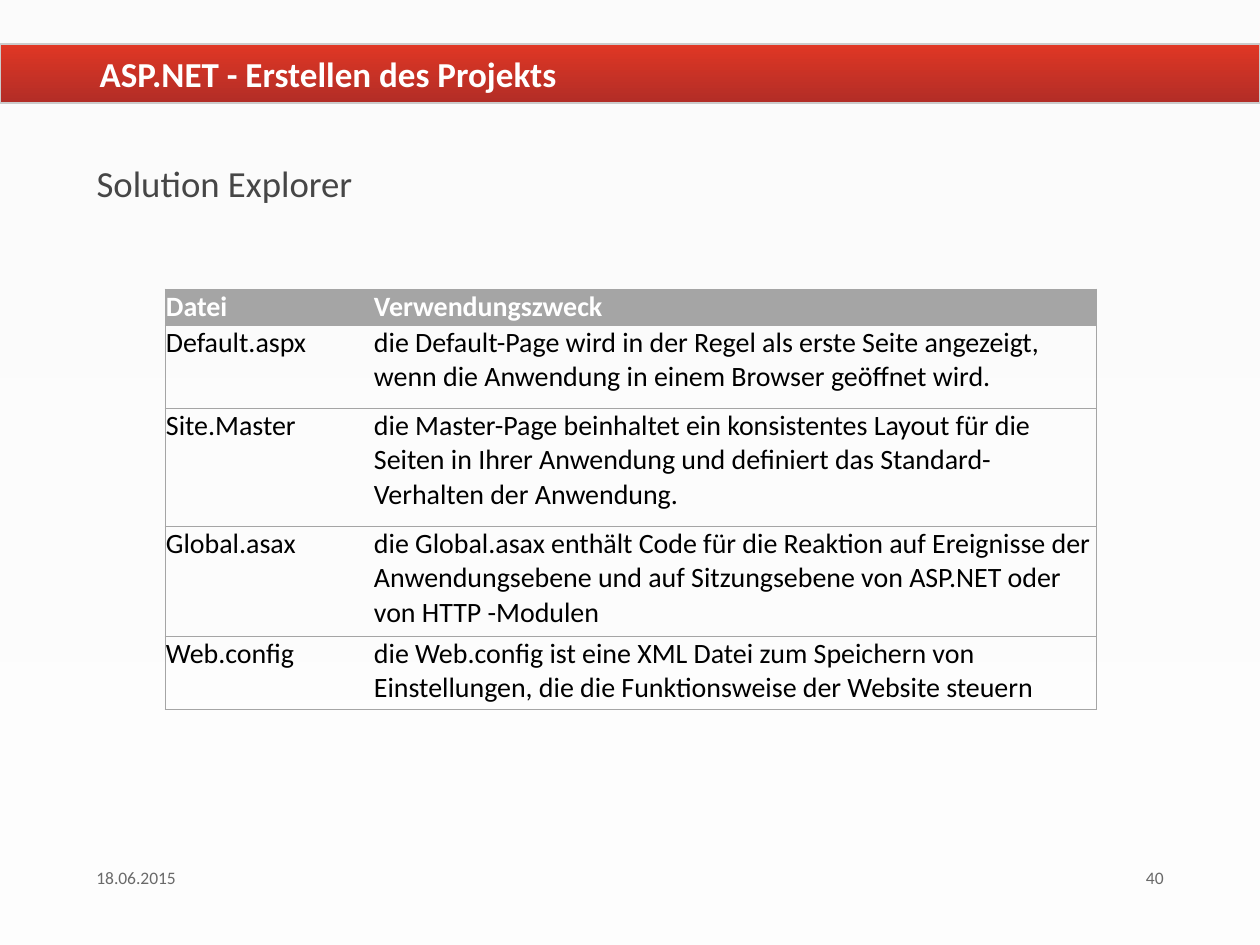
from copy import deepcopy
from dataclasses import dataclass

from lxml import etree
from pptx import Presentation
from pptx import util as u
from pptx.dml.color import RGBColor
from pptx.enum import shapes, text
from pptx.oxml import ns

PX = 914400 / 126


@dataclass(frozen=True)
class Theme:
    font: str = "Calibri"
    background: tuple = ((0, "FBFBFB"), (0.4, "FCFCFC"), (0.7, "FDFDFD"), (1, "FCFCFC"))
    bar: tuple = ((0, "E03725"), (1, "B22D26"))
    bar_line: str = "CBCBCB"
    white: str = "FFFFFF"
    black: str = "000000"
    heading: str = "464646"
    footer: str = "696969"
    grid: str = "A5A5A5"
    title_size: int = 20
    body_size: int = 21
    table_size: int = 16
    footer_size: int = 10
    plain_table: str = "{2D5ABB26-0587-4C30-8999-92F81FD0307C}"


def px(value):
    return u.Emu(round(value * PX))


class SlideBuilder:
    def __init__(self, presentation, theme):
        self.theme = theme
        self.slide = presentation.slides.add_slide(presentation.slide_layouts[1])

    def place(self, shape, box):
        shape.left, shape.top, shape.width, shape.height = map(px, box)

    def style(self, frame, size, color, bold=False):
        for paragraph in frame.paragraphs:
            for run in paragraph.runs:
                run.font.name = self.theme.font
                run.font.size = u.Pt(size)
                run.font.bold = bold
                run.font.color.rgb = RGBColor.from_string(color)

    def gradient(self, fill, element, stops):
        fill.gradient()
        fill.gradient_angle = 270
        stop_list = element.xpath(".//p:bg//a:gsLst | ./p:spPr//a:gsLst")[0]
        for _ in stops[2:]:
            stop_list.append(deepcopy(stop_list[0]))
        for stop, (position, color) in zip(fill.gradient_stops, stops):
            stop.position = position
            stop.color.rgb = RGBColor.from_string(color)

    def background(self):
        self.gradient(self.slide.background.fill, self.slide.element, self.theme.background)

    def bar(self, box):
        shape = self.slide.shapes.add_shape(shapes.MSO_SHAPE.RECTANGLE, *map(px, box))
        shape.shadow.inherit = False
        self.gradient(shape.fill, shape.element, self.theme.bar)
        shape.line.color.rgb = RGBColor.from_string(self.theme.bar_line)
        shape.line.width = u.Pt(0.75)
        shape.element.getparent().insert(2, shape.element)

    def title(self, wording, box):
        shape = self.slide.shapes.title
        self.place(shape, box)
        frame = shape.text_frame
        frame.text = wording
        frame.vertical_anchor = text.MSO_ANCHOR.MIDDLE
        frame.paragraphs[0].alignment = text.PP_ALIGN.LEFT
        self.style(frame, self.theme.title_size, self.theme.white, True)

    def body(self, wording, box):
        shape = self.slide.placeholders[1]
        self.place(shape, box)
        frame = shape.text_frame
        frame.text = wording
        paragraph = frame.paragraphs[0]
        paragraph.line_spacing = u.Pt(24)
        paragraph.space_before = u.Pt(16)
        properties = paragraph._p.get_or_add_pPr()
        properties.set("marL", "0")
        properties.set("indent", "0")
        etree.SubElement(properties, ns.qn("a:buNone"))
        self.style(frame, self.theme.body_size, self.theme.heading)

    def footer(self, wording, box, alignment):
        frame = self.slide.shapes.add_textbox(*map(px, box)).text_frame
        frame.word_wrap = True
        frame.text = wording
        frame.paragraphs[0].alignment = alignment
        self.style(frame, self.theme.footer_size, self.theme.footer)

    def borders(self, cell, sides):
        properties = cell._tc.get_or_add_tcPr()
        for side in sides:
            line = etree.SubElement(properties, ns.qn(f"a:ln{side}"), w=str(u.Pt(0.5)))
            fill = etree.SubElement(line, ns.qn("a:solidFill"))
            etree.SubElement(fill, ns.qn("a:srgbClr"), val=self.theme.grid)

    def table(self, rows, left, top, widths, heights):
        box = (left, top, sum(widths), sum(heights))
        frame = self.slide.shapes.add_table(len(rows), len(widths), *map(px, box))
        table = frame.table
        table.horz_banding = False
        table._tbl.tblPr.find(ns.qn("a:tableStyleId")).text = self.theme.plain_table
        for column, width in zip(table.columns, widths):
            column.width = px(width)
        for row, height in zip(table.rows, heights):
            row.height = px(height)
        for row_index, row in enumerate(rows):
            header = row_index == 0
            for column_index, wording in enumerate(row):
                cell = table.cell(row_index, column_index)
                cell.text = wording
                cell.margin_left = cell.margin_right = cell.margin_top = px(1)
                cell.margin_bottom = 0
                self.borders(cell, "RTB" if column_index else "LTB")
                if header:
                    cell.fill.solid()
                    cell.fill.fore_color.rgb = RGBColor.from_string(self.theme.grid)
                else:
                    cell.fill.background()
                color = self.theme.white if header else self.theme.black
                self.style(cell.text_frame, self.theme.table_size, color, header)


FILES = [
    ("Datei", "Verwendungszweck"),
    ("Default.aspx", "die Default-Page wird in der Regel als erste Seite angezeigt, "
     "wenn die Anwendung in einem Browser geöffnet wird."),
    ("Site.Master", "die Master-Page beinhaltet ein konsistentes Layout für die Seiten "
     "in Ihrer Anwendung und definiert das Standard- Verhalten der Anwendung."),
    ("Global.asax", "die Global.asax enthält Code für die Reaktion auf Ereignisse der "
     "Anwendungsebene und auf Sitzungsebene von ASP.NET oder von HTTP -Modulen"),
    ("Web.config", "die Web.config ist eine XML Datei zum Speichern von Einstellungen, "
     "die die Funktionsweise der Website steuern"),
]


def main():
    presentation = Presentation()
    presentation.slide_width = u.Inches(10)
    presentation.slide_height = u.Inches(7.5)
    builder = SlideBuilder(presentation, Theme())
    builder.background()
    builder.bar((0, 44, 1260, 59))
    builder.title(" ASP.NET - Erstellen des Projekts", (79, 44, 1108, 59))
    builder.body("Solution Explorer", (84, 157, 1092, 683))
    builder.table(FILES, 165, 289, (208, 723), (36, 83, 118, 110, 74))
    builder.footer("18.06.2015", (84, 861, 252, 63), text.PP_ALIGN.LEFT)
    builder.footer("40", (1040, 861, 136, 63), text.PP_ALIGN.RIGHT)
    presentation.save("out.pptx")


if __name__ == "__main__":
    main()
